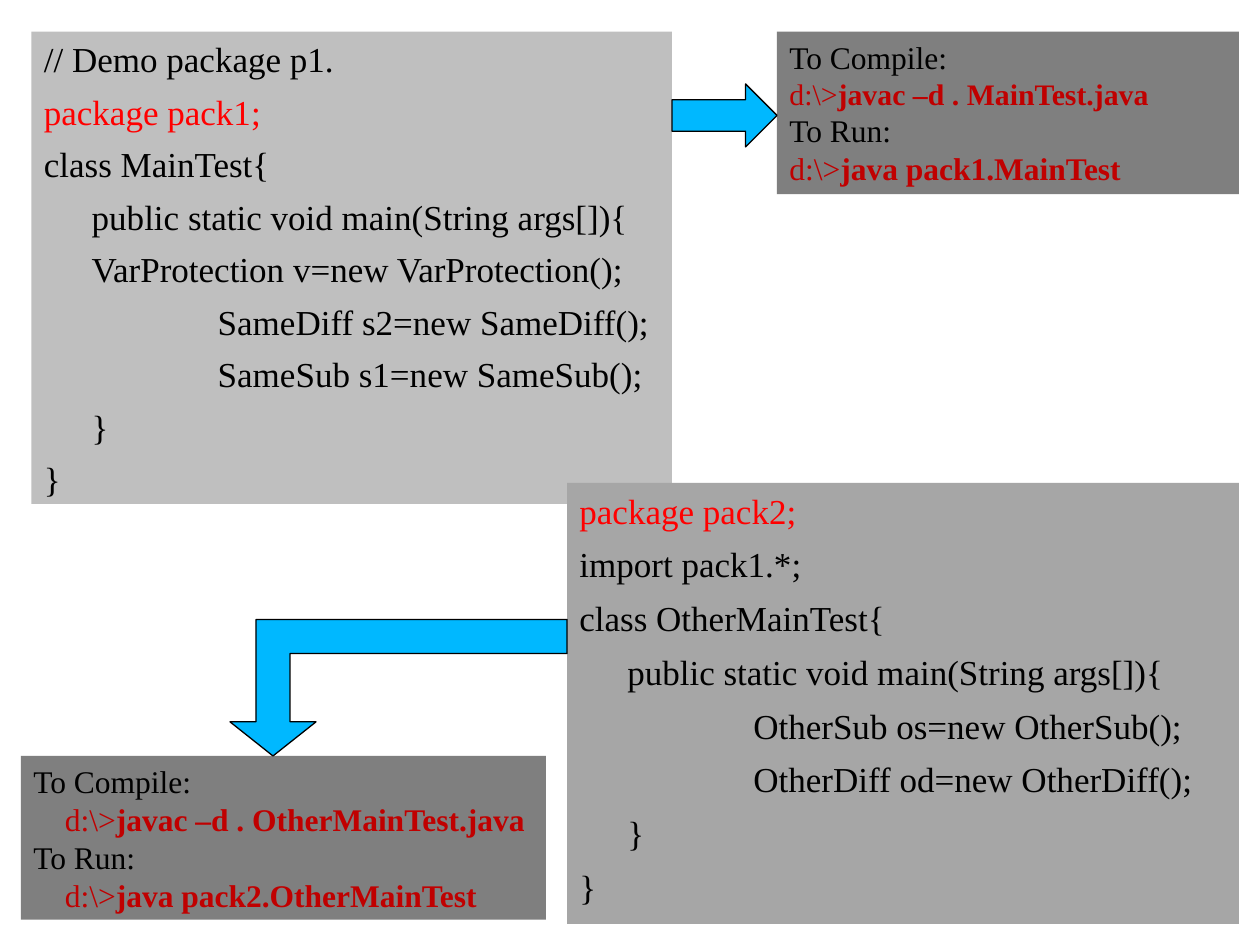
"""Build the slide on compiling and running classes in two Java packages."""
from pptx import Presentation
from pptx.dml.color import RGBColor
from pptx.enum.shapes import MSO_SHAPE
from pptx.enum.text import MSO_ANCHOR, MSO_AUTO_SIZE, PP_ALIGN
from pptx.util import Inches, Pt

RECTANGLE, RIGHT_ARROW = MSO_SHAPE.RECTANGLE, MSO_SHAPE.RIGHT_ARROW
TOP, LEFT = MSO_ANCHOR.TOP, PP_ALIGN.LEFT
FIT_TEXT = MSO_AUTO_SIZE.SHAPE_TO_FIT_TEXT
FONT = "Times New Roman"
BLACK, RED, DARK_RED, SKY = "000000", "FF0000", "C00000", "00B8FF"

deck = Presentation()
deck.slide_width, deck.slide_height = Inches(10), Inches(7.5)
page = deck.slides.add_slide(deck.slide_layouts[6])
unit = deck.slide_width / 120


def paint(shape, fill, line=None):
    """Fill a shape and outline it when a line colour is given."""
    shape.shadow.inherit = False
    shape.fill.solid()
    shape.fill.fore_color.rgb = RGBColor.from_string(fill)
    if line:
        shape.line.color.rgb = RGBColor.from_string(line)
        shape.line.width = Pt(0.75)
    else:
        shape.line.fill.background()


def add_panel(grid, fill, lines, gap=0):
    """Add a panel; each line holds an indent, a hang, a size, a colour and its spans."""
    box = page.shapes.add_shape(RECTANGLE, *(round(unit * n) for n in grid))
    paint(box, fill)
    frame = box.text_frame
    frame.word_wrap = True
    frame.vertical_anchor = TOP
    for index, (indent, hang, size, color, spans) in enumerate(lines):
        para = frame.paragraphs[0] if index == 0 else frame.add_paragraph()
        para.alignment = LEFT
        para.space_before = Pt(gap if index else 0)
        props = para._p.get_or_add_pPr()
        props.set("marL", str(Inches(indent)))
        props.set("indent", str(-Inches(hang)))
        props.set("defTabSz", str(Inches(1)))
        para.font.name, para.font.size = FONT, Pt(size)
        para.font.color.rgb = RGBColor.from_string(color)
        for position, text in enumerate(spans):
            span = para.add_run()
            span.text = text
            if position:
                span.font.bold = True
    return frame


listings = [
    ((3, 3, 61, 45), "BFBFBF", 6, [
        "// Demo package p1.",
        "package pack1;",
        "class MainTest{",
        "\tpublic static void main(String args[]){",
        "\tVarProtection v=new VarProtection();",
        "\t\tSameDiff s2=new SameDiff();",
        "\t\tSameSub s1=new SameSub();",
        "\t}",
        "}",
    ]),
    ((54, 46, 64, 42), "A6A6A6", 6.7, [
        "package pack2;",
        "import pack1.*;",
        "class OtherMainTest{",
        "\tpublic static void main(String args[]){",
        "\t\tOtherSub os=new OtherSub();",
        "\t\tOtherDiff od=new OtherDiff();",
        "\t}",
        "}",
    ]),
]
for grid, fill, gap, code in listings:
    lines = [(0.38, 0.38, 20, RED if text.startswith("package") else BLACK, [text])
             for text in code]
    add_panel(grid, fill, lines, gap)

commands = [
    ((74, 3, 44, 15.5), 0, 17, "javac –d . MainTest.java", "java pack1.MainTest"),
    ((2, 72, 50, 15.6), 0.25, 18, "javac –d . OtherMainTest.java", "java pack2.OtherMainTest"),
]
for grid, indent, compile_size, compile_command, run_command in commands:
    frame = add_panel(grid, "7F7F7F", [
        (0, 0, 18, BLACK, ["To Compile:"]),
        (indent, 0, compile_size, DARK_RED, ["d:\\>", compile_command]),
        (0, 0, 18, BLACK, ["To Run:"]),
        (indent, 0, 18, DARK_RED, ["d:\\>", run_command]),
    ])
    frame.auto_size = FIT_TEXT

arrow = page.shapes.add_shape(RIGHT_ARROW, *(round(unit * n) for n in (64, 8, 10, 6)))
paint(arrow, SKY, BLACK)

center, half_shaft, half_head = 26, 1.62, 4.1
top, thickness, tip, right = 59, 3.25, 72, 54
neck = tip - thickness
corners = [
    (center + half_shaft, top + thickness),
    (center + half_shaft, neck),
    (center + half_head, neck),
    (center, tip),
    (center - half_head, neck),
    (center - half_shaft, neck),
    (center - half_shaft, top),
    (right, top),
]
outline = page.shapes.build_freeform(right, top + thickness, scale=unit)
outline = page.shapes.build_freeform(
    round(right * unit), round((top + thickness) * unit))
outline.add_line_segments([(round(x * unit), round(y * unit)) for x, y in corners])
paint(outline.convert_to_shape(), SKY, BLACK)

deck.save("out.pptx")
